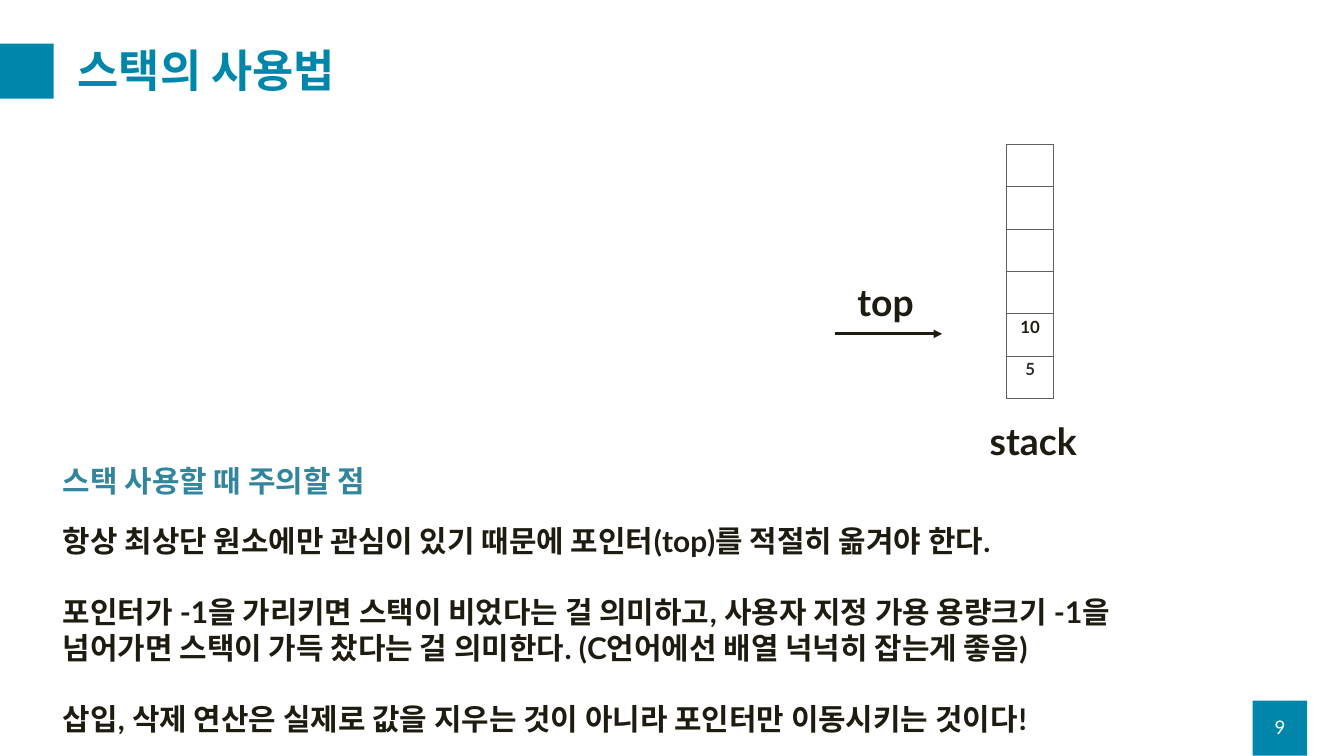
from lxml import etree
from pptx import Presentation
from pptx.dml.color import RGBColor
from pptx.enum.shapes import MSO_CONNECTOR, MSO_SHAPE
from pptx.enum.text import MSO_ANCHOR, PP_ALIGN
from pptx.oxml.ns import qn
from pptx.util import Cm, Pt

FONT = "Lato"
TEAL = "0086AB"
STEEL = "31859C"
INK = "1E1C11"
GRAY = "303030"
BORDER = "5F5F5F"
WHITE = "FFFFFF"

STACK = ["", "", "", "", "10", "5"]
CAUTIONS = [
    "항상 최상단 원소에만 관심이 있기 때문에 포인터(top)를 적절히 옮겨야 한다.",
    "포인터가 -1을 가리키면 스택이 비었다는 걸 의미하고, 사용자 지정 가용 용량크기 -1을 "
    "넘어가면 스택이 가득 찼다는 걸 의미한다. (C언어에선 배열 넉넉히 잡는게 좋음)",
    "삽입, 삭제 연산은 실제로 값을 지우는 것이 아니라 포인터만 이동시키는 것이다!",
]


def color(hex_code):
    return RGBColor.from_string(hex_code)


def add_run(paragraph, text, size, hex_code, bold=True):
    run = paragraph.add_run()
    run.text = text
    run.font.name = FONT
    run.font.size = Pt(size)
    run.font.bold = bold
    run.font.color.rgb = color(hex_code)


def add_text(slide, box, lines, size, hex_code, bold=True, align=PP_ALIGN.LEFT,
             anchor=MSO_ANCHOR.TOP, gap=0, line_spacing=None):
    frame = slide.shapes.add_textbox(*map(Cm, box)).text_frame
    frame.word_wrap = True
    frame.vertical_anchor = anchor
    for index, line in enumerate(lines):
        paragraph = frame.add_paragraph() if index else frame.paragraphs[0]
        paragraph.alignment = align
        paragraph.line_spacing = line_spacing
        if index and gap:
            paragraph.space_before = Pt(gap)
        add_run(paragraph, line, size, hex_code, bold)


def add_block(slide, left, top):
    block = slide.shapes.add_shape(MSO_SHAPE.RECTANGLE, Cm(left), Cm(top), Cm(2.06), Cm(2.08))
    block.shadow.inherit = False
    block.fill.solid()
    block.fill.fore_color.rgb = color(TEAL)
    block.line.fill.background()


def add_borders(cell, hex_code, width):
    properties = cell._tc.get_or_add_tcPr()
    for position, side in enumerate(("a:lnL", "a:lnR", "a:lnT", "a:lnB")):
        border = etree.Element(qn(side), w=str(Pt(width)))
        fill = etree.SubElement(border, qn("a:solidFill"))
        etree.SubElement(fill, qn("a:srgbClr"), val=hex_code)
        properties.insert(position, border)


def add_stack(slide, left, top, width, row_height, values):
    stack = slide.shapes.add_table(
        len(values), 1, Cm(left), Cm(top), Cm(width), Cm(row_height * len(values))).table
    stack.first_row = False
    stack.horz_banding = False
    for index, value in enumerate(values):
        cell = stack.cell(index, 0)
        cell.fill.background()
        add_borders(cell, BORDER, 1)
        if value:
            paragraph = cell.text_frame.paragraphs[0]
            paragraph.alignment = PP_ALIGN.CENTER
            add_run(paragraph, value, 18, GRAY if index == len(values) - 1 else INK)


def add_arrow(slide, start, end, y):
    arrow = slide.shapes.add_connector(
        MSO_CONNECTOR.STRAIGHT, Cm(start), Cm(y), Cm(end), Cm(y))
    arrow.line.color.rgb = color(INK)
    arrow.line.width = Pt(3)
    etree.SubElement(arrow.line._get_or_add_ln(), qn("a:tailEnd"), type="triangle")
    etree.SubElement(arrow._element.spPr, qn("a:effectLst"))


def main():
    deck = Presentation()
    deck.slide_width, deck.slide_height = Cm(50.8), Cm(28.58)
    slide = deck.slides.add_slide(deck.slide_layouts[6])

    add_block(slide, 47.35, 26.49)
    add_block(slide, -0.03, 1.65)
    add_text(slide, (2.69, 1.27, 46.36, 3), ["스택의 사용법"], 48, TEAL,
             anchor=MSO_ANCHOR.MIDDLE, line_spacing=0.9)
    add_text(slide, (47.35, 26.72, 2.06, 1.52), ["9"], 20, WHITE, bold=False,
             align=PP_ALIGN.CENTER, anchor=MSO_ANCHOR.MIDDLE)

    add_stack(slide, 38.05, 5.46, 1.78, 1.6, STACK)
    add_text(slide, (37.16, 15.7, 4.34, 1.96), ["stack"], 40, INK)
    add_arrow(slide, 31.55, 35.61, 12.62)
    add_text(slide, (32.16, 10.44, 4.34, 1.96), ["top"], 40, INK)

    add_text(slide, (2.13, 17.35, 14.73, 1.63), ["스택 사용할 때 주의할 점"], 32, STEEL)
    add_text(slide, (2.13, 19.63, 43.99, 8.46), CAUTIONS, 32, INK, gap=38)

    deck.save("out.pptx")


if __name__ == "__main__":
    main()
